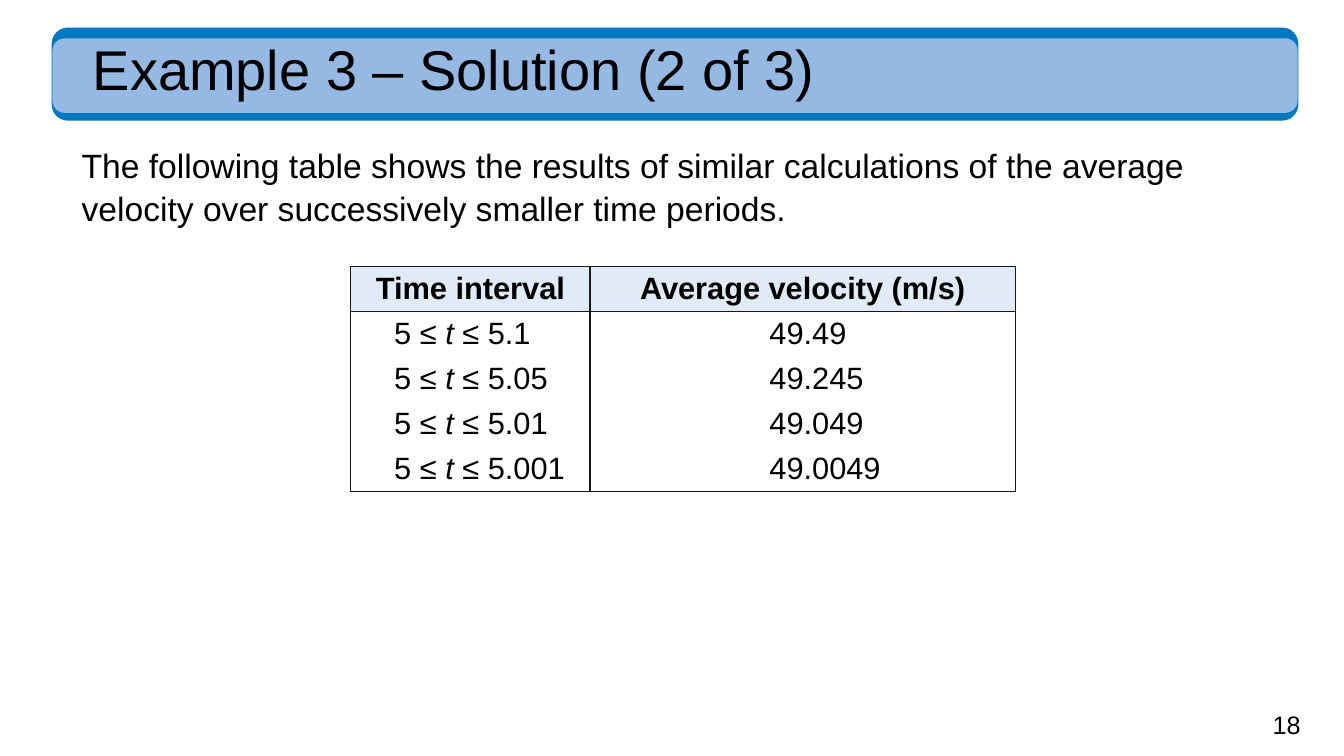
import pptx
import pptx.dml.color
import pptx.enum.shapes
import pptx.enum.text
import pptx.oxml
import pptx.oxml.ns
import pptx.util

Inches = pptx.util.Inches
Align = pptx.enum.text.PP_ALIGN
Anchor = pptx.enum.text.MSO_ANCHOR
WIDTH, HEIGHT = 13.33, 7.5
BORDER = "181717"
INTERVAL_ENDS = ["5.1", "5.05", "5.01", "5.001"]
VELOCITIES = ["49.49", "49.245", "49.049", "49.0049"]


def color(value):
    """Turn a hex string into a colour."""
    return pptx.dml.color.RGBColor.from_string(value)


def write(frame, text, size=22, bold=False, italic_word=None, align=Align.LEFT, spacing=None):
    """Fill a text frame with one paragraph, setting one word in italics."""
    para = frame.paragraphs[0]
    para.alignment = align
    if spacing:
        para.line_spacing = spacing
    pieces = [text]
    if italic_word:
        before, word, after = text.partition(italic_word)
        pieces = [before, word, after]
    for piece in pieces:
        span = para.add_run()
        span.text = piece
        span.font.name = "Arial"
        span.font.size = pptx.util.Pt(size)
        span.font.bold = bold
        span.font.italic = piece == italic_word
        span.font.color.rgb = color("000000")


def add_text(page, box, text, **style):
    """Add a wrapping text box without margins."""
    frame = page.shapes.add_textbox(*map(Inches, box)).text_frame
    frame.word_wrap = True
    frame.margin_left = frame.margin_right = frame.margin_top = frame.margin_bottom = 0
    write(frame, text, **style)


def add_bar(page, box, fill, outlined=False):
    """Add a rounded bar."""
    kind = pptx.enum.shapes.MSO_SHAPE.ROUNDED_RECTANGLE
    bar = page.shapes.add_shape(kind, *map(Inches, box))
    bar.shadow.inherit = False
    bar.fill.solid()
    bar.fill.fore_color.rgb = color(fill)
    if outlined:
        bar.line.color.rgb = color(fill)
        bar.line.width = pptx.util.Pt(1)
    else:
        bar.line.fill.background()


def add_header(page, box, title):
    """Place the two-tone bar and its title."""
    left, top, width, height = box
    add_bar(page, box, "0079C2", outlined=True)
    add_bar(page, (left, top + 0.1, width, height - 0.17), "95B9E2")
    add_text(page, (left + 0.4, top + 0.14, width - 0.85, height - 0.17), title,
             size=40, spacing=0.9)


def set_borders(cell, sides):
    """Draw the named sides of a cell and hide the others."""
    properties = cell._tc.get_or_add_tcPr()
    for position, side in enumerate("LRTB"):
        paint = "<a:noFill/>"
        if side in sides:
            paint = f'<a:solidFill><a:srgbClr val="{BORDER}"/></a:solidFill>'
        namespace = pptx.oxml.ns.nsdecls("a")
        line = pptx.oxml.parse_xml(f'<a:ln{side} {namespace} w="12700">{paint}</a:ln{side}>')
        properties.insert(position, line)


def fill_cell(cell, text, fill, sides, indent=0.1, **style):
    """Give a cell its text, fill and borders."""
    cell.fill.solid()
    cell.fill.fore_color.rgb = color(fill)
    cell.margin_left = Inches(indent)
    cell.margin_top = cell.margin_bottom = Inches(0.04)
    cell.vertical_anchor = Anchor.MIDDLE
    write(cell.text_frame, text, **style)
    set_borders(cell, sides)


def add_velocity_table(page, box):
    """Place the table of intervals and average velocities."""
    rows = len(VELOCITIES) + 1
    table = page.shapes.add_table(rows, 2, *map(Inches, box)).table
    table.horz_banding = False
    for column, share in zip(table.columns, (0.36, 0.64)):
        column.width = Inches(box[2] * share)
    for row in table.rows:
        row.height = Inches(box[3] / rows)
    for column, heading in enumerate(["Time interval", "Average velocity (m/s)"]):
        fill_cell(table.cell(0, column), heading, "E1EBF7", "LRTB",
                  bold=True, align=Align.CENTER)
    for row, (end, velocity) in enumerate(zip(INTERVAL_ENDS, VELOCITIES), 1):
        sides = "LR" + "T" * (row == 1) + "B" * (row == rows - 1)
        fill_cell(table.cell(row, 0), f"5 ≤ t ≤ {end}", "FFFFFF", sides,
                  indent=0.43, italic_word="t")
        fill_cell(table.cell(row, 1), velocity, "FFFFFF", sides, indent=1.78)


def build_solution(deck):
    """Build the solution slide on the blank layout."""
    page = deck.slides.add_slide(deck.slide_layouts[6])
    add_header(page, (0.52, 0.28, 12.35, 0.91), "Example 3 – Solution (2 of 3)")
    add_text(page, (0.81, 1.41, 11.72, 0.79),
             "The following table shows the results of similar calculations of the average "
             "velocity over successively smaller time periods.", size=24, spacing=1.07)
    add_velocity_table(page, (3.48, 2.64, 6.59, 2.21))
    add_text(page, (12.52, 7.04, 0.38, 0.3), "18", size=18, align=Align.RIGHT)


def main():
    """Create and save the deck."""
    deck = pptx.Presentation()
    deck.slide_width, deck.slide_height = Inches(WIDTH), Inches(HEIGHT)
    build_solution(deck)
    deck.save("out.pptx")


if __name__ == "__main__":
    main()
